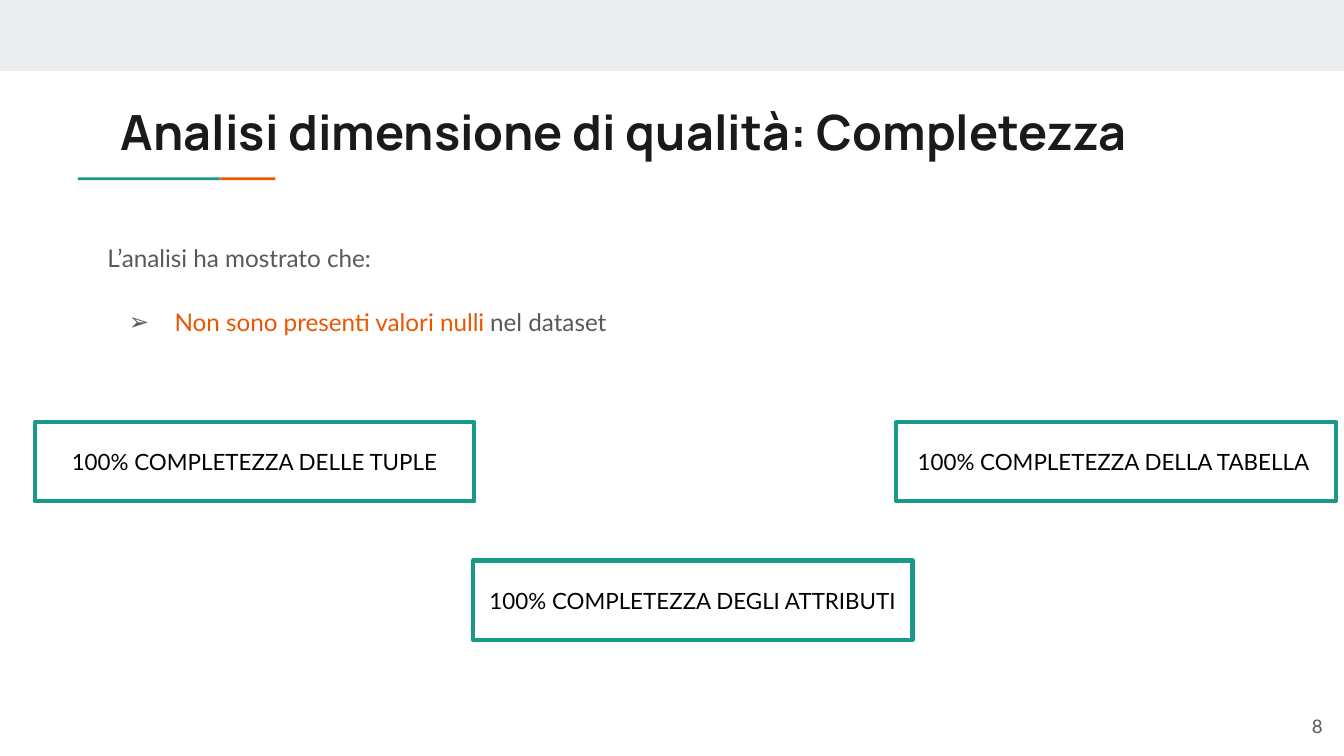
from dataclasses import dataclass
from lxml.etree import SubElement
from pptx import Presentation
from pptx.dml.color import RGBColor as RGB
from pptx.enum.shapes import MSO_SHAPE as Shape
from pptx.enum.text import MSO_ANCHOR as Anchor, PP_ALIGN as Align
from pptx.oxml.ns import qn
from pptx.util import Inches, Pt


@dataclass(frozen=True)
class Theme:
    head: str = "Manrope"
    body: str = "Lato"
    band: str = "E9EDEE"
    teal: str = "1A9988"
    orange: str = "EB5600"
    dark: str = "1A1A1A"
    gray: str = "595959"
    black: str = "000000"
    title: int = 26
    text: int = 13
    label: int = 12
    page: int = 10
    edge: float = 2.25


T = Theme()
TITLE = "Analisi dimensione di qualità: Completezza"
INTRO = "L’analisi ha mostrato che:"
POINT = [("Non sono presenti valori nulli", T.orange), (" nel dataset", T.gray)]
PAGE = "8"
BARS = [
    ((0, 0, 10, 0.53), T.band),
    ((0.58, 1.32, 1.06, 0.02), T.teal),
    ((1.64, 1.32, 0.41, 0.02), T.orange),
]
BOXES = [
    ("100% COMPLETEZZA DELLE TUPLE", 0.26, 3.14),
    ("100% COMPLETEZZA DEGLI ATTRIBUTI", 3.52, 4.17),
    ("100% COMPLETEZZA DELLA TABELLA ", 6.67, 3.14),
]
BOX_W, BOX_H = 3.27, 0.59


def style(run, size, color, font=T.body, bold=False):
    run.font.name, run.font.size, run.font.bold = font, Pt(size), bold
    run.font.color.rgb = RGB.from_string(color)


def pad(frame, top=0.1):
    frame.word_wrap = True
    frame.margin_left = frame.margin_right = frame.margin_bottom = Inches(0.1)
    frame.margin_top = Inches(top)


def add_text(slide, area, top=0.1):
    frame = slide.shapes.add_textbox(*map(Inches, area)).text_frame
    pad(frame, top)
    return frame


def add_rect(slide, area):
    rect = slide.shapes.add_shape(Shape.RECTANGLE, *map(Inches, area))
    rect.shadow.inherit = False
    return rect


def add_bar(slide, area, color):
    bar = add_rect(slide, area)
    bar.fill.solid()
    bar.fill.fore_color.rgb = RGB.from_string(color)
    bar.line.fill.background()


def add_box(slide, text, left, top):
    box = add_rect(slide, (left, top, BOX_W, BOX_H))
    box.fill.background()
    box.line.color.rgb = RGB.from_string(T.teal)
    box.line.width = Pt(T.edge)
    frame = box.text_frame
    pad(frame)
    frame.vertical_anchor = Anchor.MIDDLE
    frame.text = text
    para = frame.paragraphs[0]
    para.alignment = Align.CENTER
    style(para.runs[0], T.label, T.black)


def add_bullet(para, mark, color):
    props = para._p.get_or_add_pPr()
    props.set("marL", str(Inches(0.5)))
    props.set("indent", str(Inches(-0.34)))
    tint = SubElement(props, qn("a:buClr"))
    SubElement(tint, qn("a:srgbClr"), val=color)
    SubElement(props, qn("a:buFont"), typeface=T.body)
    SubElement(props, qn("a:buChar"), char=mark)


def add_body(slide):
    frame = add_text(slide, (0.7, 1.25, 5.51, 2.47), top=0.53)
    frame.text = INTRO
    intro = frame.paragraphs[0]
    style(intro.runs[0], T.text, T.gray)
    point = frame.add_paragraph()
    point.space_before = Pt(16)
    for para in (intro, point):
        para.line_spacing = 1.15
    add_bullet(point, "➢", T.gray)
    for text, color in POINT:
        run = point.add_run()
        run.text = text
        style(run, T.text, color)


def main():
    """Build the completeness slide."""
    deck = Presentation()
    deck.slide_width = Inches(10)
    deck.slide_height = deck.slide_width * 9 // 16
    slide = deck.slides.add_slide(deck.slide_layouts[6])
    for area, color in BARS:
        add_bar(slide, area, color)
    title = add_text(slide, (0.8, 0.66, 8.41, 0.59))
    title.text = TITLE
    style(title.paragraphs[0].runs[0], T.title, T.dark, T.head, True)
    add_body(slide)
    for box in BOXES:
        add_box(slide, *box)
    page = add_text(slide, (9.34, 5.19, 0.6, 0.43))
    page.vertical_anchor = Anchor.MIDDLE
    page.text = PAGE
    page.paragraphs[0].alignment = Align.RIGHT
    style(page.paragraphs[0].runs[0], T.page, T.gray)
    deck.save("out.pptx")


if __name__ == "__main__":
    main()
